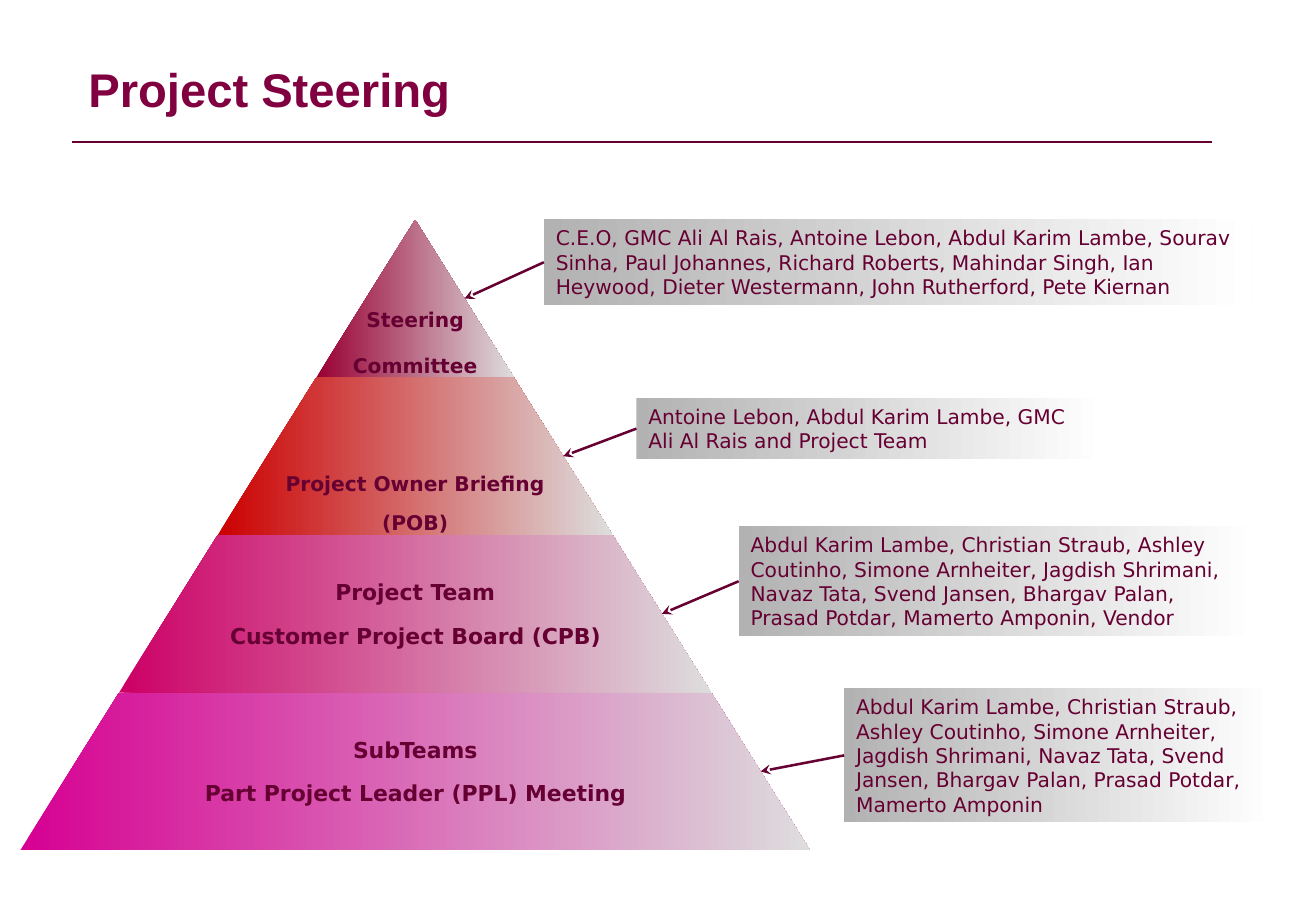
from dataclasses import dataclass

from lxml import etree
from pptx import Presentation
from pptx import util as u
from pptx.dml.color import RGBColor
from pptx.enum import shapes, text
from pptx.oxml import ns


@dataclass(frozen=True)
class Theme:
    ink: str = "660033"
    heading: str = "800040"
    fade: str = "DDDDDD"
    panel: str = "B2B2B2"
    paper: str = "FFFFFF"
    body_font: str = "DejaVu Sans"
    title_font: str = "Arial"
    title_size: float = 28
    body_size: float = 12
    large_size: float = 13
    rule_width: float = 0.75
    arrow_width: float = 1.5


class Deck:
    def __init__(self, prs, theme):
        self.prs, self.theme = prs, theme
        self.s = prs.slides.add_slide(prs.slide_layouts[6])

    def x(self, percent):
        return u.Emu(round(self.prs.slide_width * percent / 100))

    def y(self, percent):
        return u.Emu(round(self.prs.slide_height * percent / 100))

    def area(self, left, top, width, height):
        return self.x(left), self.y(top), self.x(width), self.y(height)

    def apply(self, target, formats):
        for name, value in formats.items():
            setattr(target, name, value)

    def put_text(self, sp, lines, frame, font, color, align, gap=0, spacing=None):
        tf = sp.text_frame
        self.apply(tf, frame)
        for i, line in enumerate(lines):
            p = tf.paragraphs[0] if i == 0 else tf.add_paragraph()
            self.apply(p, {"alignment": align, "line_spacing": spacing,
                           "space_before": u.Pt(gap if i else 0)})
            r = p.add_run()
            r.text = line
            self.apply(r.font, font)
            r.font.color.rgb = RGBColor.from_string(color)

    def fade(self, sp, start, end):
        sp.shadow.inherit = False
        sp.line.fill.background()
        sp.fill.gradient()
        sp.fill.gradient_angle = 0
        for stop, color in zip(sp.fill.gradient_stops, (start, end)):
            stop.color.rgb = RGBColor.from_string(color)

    def title(self, words, *area):
        t = self.theme
        sp = self.s.shapes.add_textbox(*self.area(*area))
        self.put_text(sp, [words],
                      {"word_wrap": True, "vertical_anchor": text.MSO_ANCHOR.MIDDLE},
                      {"name": t.title_font, "size": u.Pt(t.title_size), "bold": True},
                      t.heading, text.PP_ALIGN.LEFT, spacing=0.9)

    def line(self, x1, y1, x2, y2, width):
        sp = self.s.shapes.add_connector(
            shapes.MSO_CONNECTOR.STRAIGHT,
            self.x(x1), self.y(y1), self.x(x2), self.y(y2))
        sp.line.color.rgb = RGBColor.from_string(self.theme.ink)
        sp.line.width = u.Pt(width)
        etree.SubElement(sp._element.spPr, ns.qn("a:effectLst"))
        return sp

    def arrow(self, x, y, box):
        sp = self.line(x, y, x, y, self.theme.arrow_width)
        sp.end_connect(box, 1)
        ln = sp._element.spPr.find(ns.qn("a:ln"))
        head = etree.SubElement(ln, ns.qn("a:headEnd"))
        head.set("type", "stealth")

    def tier(self, center, top, bottom, half_top, half_bottom, color,
             lines, size, gap, anchor):
        corners = [(center - half_bottom, bottom), (center + half_bottom, bottom),
                   (center + half_top, top), (center - half_top, top)]
        start, *rest = [(self.x(x), self.y(y)) for x, y in corners]
        outline = self.s.shapes.build_freeform(*start)
        outline.add_line_segments(rest, close=True)
        sp = outline.convert_to_shape()
        self.fade(sp, color, self.theme.fade)
        frame = {"word_wrap": False, "vertical_anchor": anchor}
        frame.update(dict.fromkeys(
            ("margin_left", "margin_top", "margin_right", "margin_bottom"), 0))
        self.put_text(sp, lines, frame,
                      {"name": self.theme.body_font, "size": u.Pt(size), "bold": True},
                      self.theme.ink, text.PP_ALIGN.CENTER, gap)

    def panel(self, words, *area):
        t = self.theme
        sp = self.s.shapes.add_shape(shapes.MSO_SHAPE.RECTANGLE, *self.area(*area))
        self.fade(sp, t.panel, t.paper)
        self.put_text(sp, [words],
                      {"word_wrap": True, "vertical_anchor": text.MSO_ANCHOR.MIDDLE},
                      {"name": t.body_font, "size": u.Pt(t.body_size)},
                      t.ink, text.PP_ALIGN.LEFT)
        return sp


def main():
    prs = Presentation()
    prs.slide_width, prs.slide_height = u.Inches(10.84), u.Inches(7.5)
    theme = Theme()
    deck = Deck(prs, theme)
    deck.line(5.44, 15.6, 92.07, 15.6, theme.rule_width)
    deck.title("Project Steering", 5.81, 5.6, 66.6, 8.93)

    low, mid = text.MSO_ANCHOR.BOTTOM, text.MSO_ANCHOR.MIDDLE
    tiers = [
        ("990033", ["Steering", "Committee"], theme.body_size, 12.7, low,
         "C.E.O, GMC Ali Al Rais, Antoine Lebon, Abdul Karim Lambe, Sourav Sinha, "
         "Paul Johannes, Richard Roberts, Mahindar Singh, Ian Heywood, "
         "Dieter Westermann, John Rutherford, Pete Kiernan",
         (41.33, 24.07, 53.87, 9.44)),
        ("CC0000", ["Project Owner Briefing", "(POB)"], theme.body_size, 9, low,
         "Antoine Lebon, Abdul Karim Lambe, GMC Ali Al Rais and Project Team",
         (48.36, 43.7, 35.61, 6.7)),
        ("CC0066", ["Project Team", "Customer Project Board (CPB)"],
         theme.large_size, 10, mid,
         "Abdul Karim Lambe, Christian Straub, Ashley Coutinho, Simone Arnheiter, "
         "Jagdish Shrimani, Navaz Tata, Svend Jansen, Bhargav Palan, "
         "Prasad Potdar, Mamerto Amponin, Vendor",
         (56.13, 57.77, 39.39, 12.08)),
        ("D60093", ["SubTeams", "Part Project Leader (PPL) Meeting"],
         theme.large_size, 10, mid,
         "Abdul Karim Lambe, Christian Straub, Ashley Coutinho, Simone Arnheiter, "
         "Jagdish Shrimani, Navaz Tata, Svend Jansen, Bhargav Palan, "
         "Prasad Potdar, Mamerto Amponin",
         (64.15, 75.56, 32.66, 14.72)),
    ]
    apex_x, apex_y, tier_height, half_step = 31.55, 24.13, 17.3, 7.5
    for i, (color, lines, size, gap, anchor, members, area) in enumerate(tiers):
        top = apex_y + i * tier_height
        deck.tier(apex_x, top, top + tier_height, i * half_step,
                  (i + 1) * half_step, color, lines, size, gap, anchor)
        box = deck.panel(members, *area)
        deck.arrow(apex_x + (i + 0.5) * half_step, top + tier_height / 2, box)
    prs.save("out.pptx")


if __name__ == "__main__":
    main()
